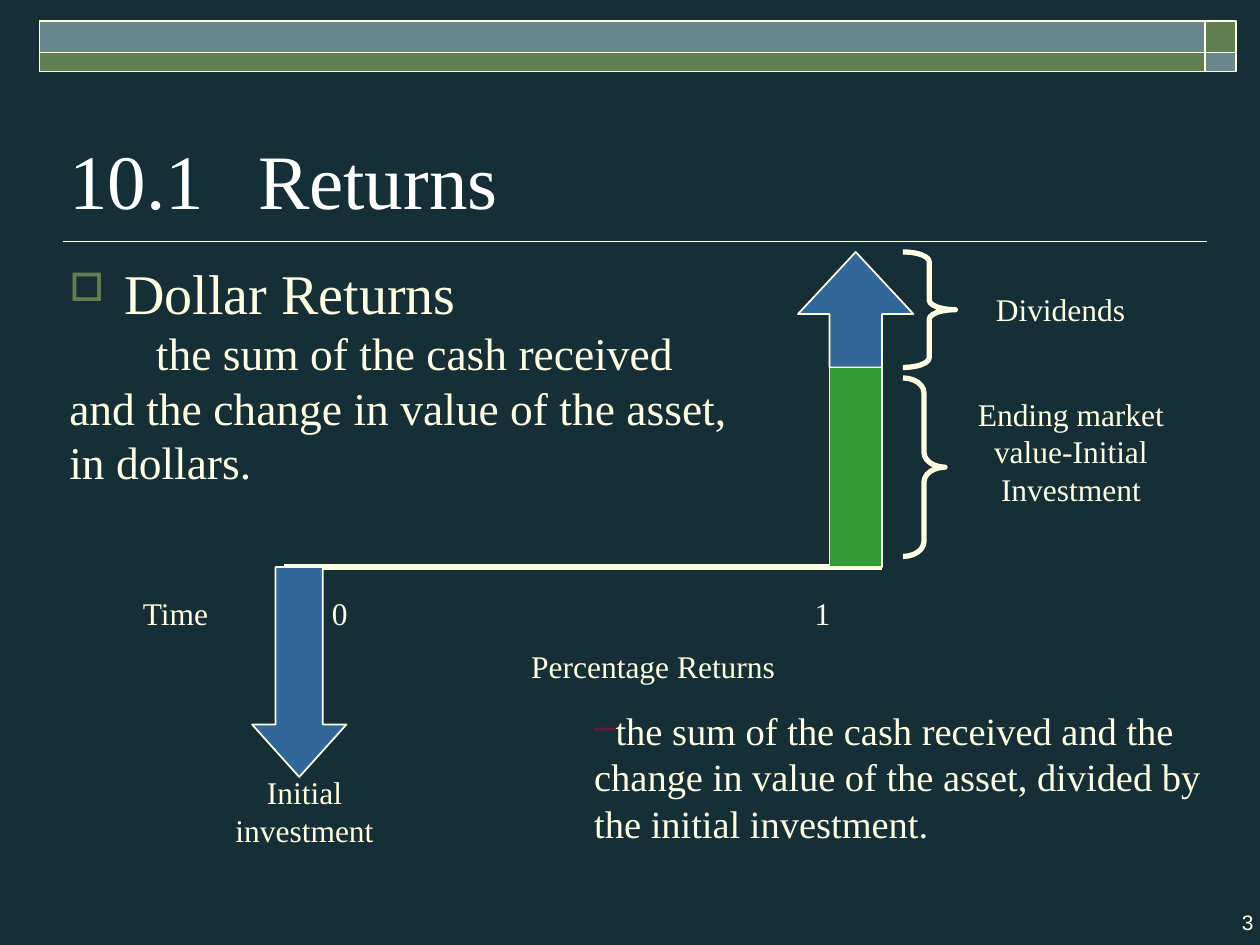
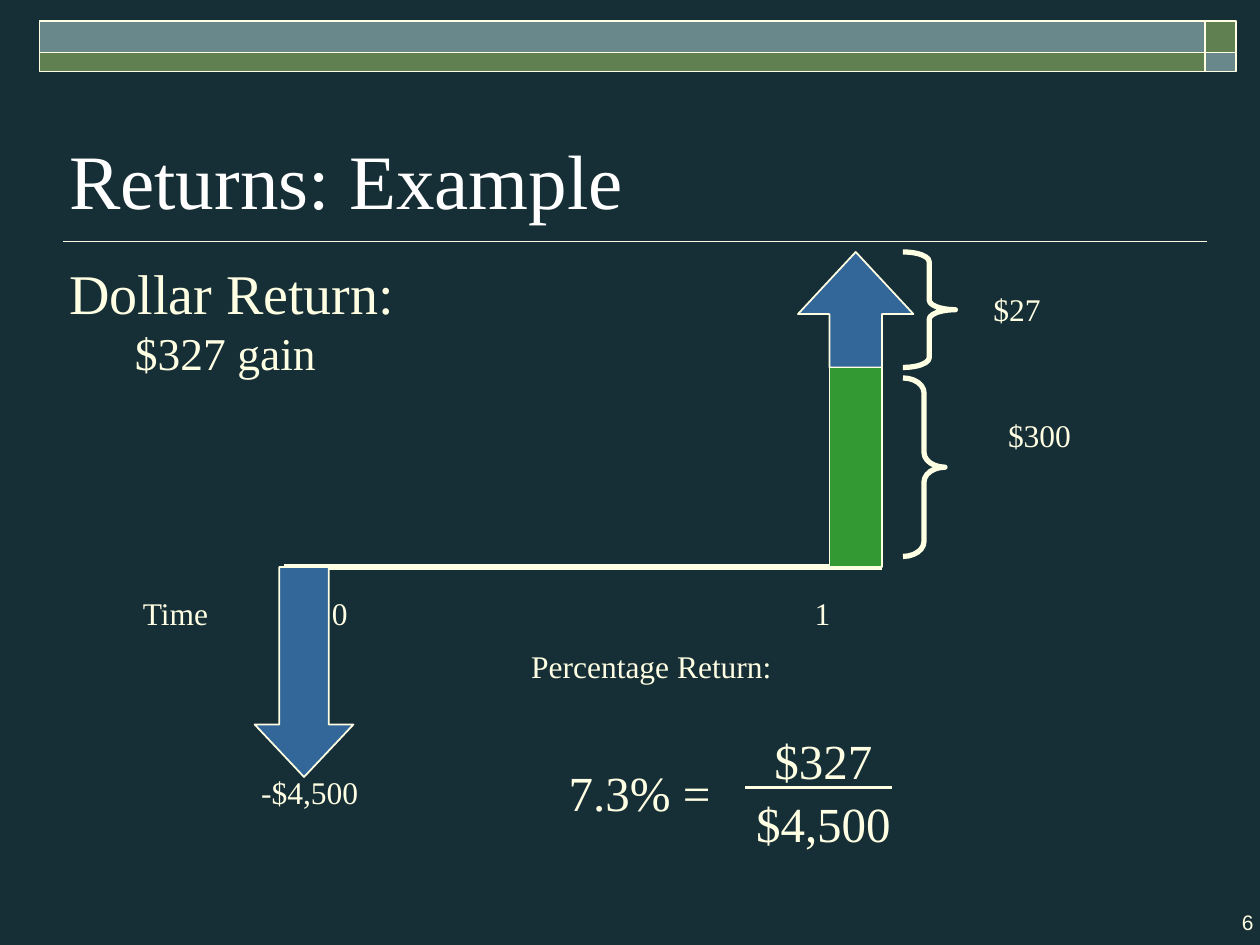
from lxml.etree import SubElement
from pptx import Presentation
from pptx.dml.color import RGBColor
from pptx.enum.shapes import MSO_CONNECTOR, MSO_SHAPE
from pptx.enum.text import MSO_ANCHOR, PP_ALIGN
from pptx.oxml.ns import qn
from pptx.util import Pt

NIGHT = RGBColor(0x16, 0x2E, 0x36)
CREAM = RGBColor(0xFF, 0xFF, 0xE3)
WHITE = RGBColor(0xFF, 0xFF, 0xFF)
OLIVE = RGBColor(0x61, 0x80, 0x52)
TEAL = RGBColor(0x69, 0x88, 0x8B)
BLUE = RGBColor(0x33, 0x66, 0x99)
GREEN = RGBColor(0x33, 0x99, 0x33)
WINE = RGBColor(0x67, 0x17, 0x39)
SERIF = "Times New Roman"
CENTER = PP_ALIGN.CENTER


def write(p, text, size=18, color=CREAM, font=SERIF, align=PP_ALIGN.LEFT,
          margin=0, indent=0, before=0, bullet=None, bullet_color=OLIVE,
          bullet_size=100):
    p.alignment = align
    p.space_before = Pt(before)
    pPr = p._p.get_or_add_pPr()
    pPr.set("marL", str(Pt(margin)))
    pPr.set("indent", str(Pt(indent)))
    if bullet:
        clr = SubElement(pPr, qn("a:buClr"))
        SubElement(clr, qn("a:srgbClr")).set("val", str(bullet_color))
        SubElement(pPr, qn("a:buSzPct")).set("val", str(bullet_size * 1000))
        SubElement(pPr, qn("a:buChar")).set("char", bullet)
    r = p.add_run()
    r.text = text
    r.font.size = Pt(size)
    r.font.name = font
    r.font.color.rgb = color


def add_text(s, box, text, anchor=MSO_ANCHOR.TOP, wrap=True, **fmt):
    tf = s.shapes.add_textbox(*map(Pt, box)).text_frame
    tf.margin_left = tf.margin_right = Pt(3.6)
    tf.margin_top = tf.margin_bottom = Pt(3.6)
    tf.word_wrap = wrap
    tf.vertical_anchor = anchor
    write(tf.paragraphs[0], text, **fmt)
    return tf


def add_shape(s, kind, box, fill=None, weight=1, adjustments=()):
    sp = s.shapes.add_shape(kind, *map(Pt, box))
    sp.shadow.inherit = False
    if fill is None:
        sp.fill.background()
    else:
        sp.fill.solid()
        sp.fill.fore_color.rgb = fill
    sp.line.color.rgb = CREAM
    sp.line.width = Pt(weight)
    for i, value in enumerate(adjustments):
        sp.adjustments[i] = value
    return sp


def add_rule(s, x1, x2, y, weight):
    line = s.shapes.add_connector(MSO_CONNECTOR.STRAIGHT, Pt(x1), Pt(y), Pt(x2), Pt(y))
    line.line.color.rgb = CREAM
    line.line.width = Pt(weight)
    SubElement(line._element.spPr, qn("a:effectLst"))


def add_band(s, left, top, width, height):
    corner, upper = 18, 18
    split = left + width - corner
    for x, w, colors in ((left, width - corner, (TEAL, OLIVE)),
                         (split, corner, (OLIVE, TEAL))):
        for y, h, color in ((top, upper, colors[0]),
                            (top + upper, height - upper, colors[1])):
            add_shape(s, MSO_SHAPE.RECTANGLE, (x, y, w, h), color)


def add_frame(prs, title, number):
    s = prs.slides.add_slide(prs.slide_layouts[6])
    add_rule(s, 36, 690, 138, 1)
    add_band(s, 22.5, 12, 684, 29)
    add_text(s, (705.6, 516, 14.4, 21.6), number, wrap=False,
             size=12, font="Arial", align=PP_ALIGN.RIGHT)
    add_text(s, (36, 42, 648, 90), title, anchor=MSO_ANCHOR.BOTTOM,
             size=44, color=WHITE)
    return s


def add_body(s, left, top, heading, detail, heading_format, detail_format):
    tf = add_text(s, (left, top, 389, 152), heading, size=32, **heading_format)
    write(tf.add_paragraph(), detail, size=26, **detail_format)


def add_brace(s, left, top, width, height):
    add_shape(s, MSO_SHAPE.RIGHT_BRACE, (left, top, width, height),
              weight=3, adjustments=(height / width / 12, 0.5))


def add_cash_flows(s, left, top, outflow_x, outflow_width):
    axis = top + 180
    add_rule(s, left + 84, left + 426, axis, 3)
    for x, width, label in ((0, 66, "Time"), (108, 30, "0"), (384, 30, "1")):
        add_text(s, (left + x, axis + 12, width, 27), label)
    bar, side, outflow_height = 30, 66, 120
    add_shape(s, MSO_SHAPE.UP_ARROW, (left + 378, top, side, side), BLUE,
              adjustments=(bar / side, 35.5 / side))
    add_shape(s, MSO_SHAPE.RECTANGLE,
              (left + 396, top + side, bar, 180 - side), GREEN)
    add_shape(s, MSO_SHAPE.DOWN_ARROW,
              (left + outflow_x, axis, outflow_width, outflow_height), BLUE,
              adjustments=(0.5, 30 / outflow_width))
    add_brace(s, left + 438, top, 30, side)
    add_brace(s, left + 438, top + 72, 24, 102)


def add_fraction(s, left, top, result, numerator, denominator):
    add_text(s, (left, top + 18, 114, 38), result, size=28, align=CENTER)
    for y, value in ((0, numerator), (36, denominator)):
        add_text(s, (left + 110.5, top + y, 96, 38), value, size=28, align=CENTER)
    add_rule(s, left + 114, left + 198, top + 36, 1.5)


def build_returns(prs):
    s = add_frame(prs, "10.1\tReturns", "3")
    add_body(s, 36, 144, "Dollar Returns",
             "the sum of the cash received and the change in value of the asset, in dollars.",
             dict(margin=31.5, indent=-31.5, bullet="□", bullet_size=70),
             dict(indent=49.5))
    add_cash_flows(s, 78, 144, 66, 54)
    add_text(s, (108, 438, 132, 48), "Initial investment", align=CENTER)
    add_text(s, (534, 222, 156, 69), "Ending market value-Initial Investment", align=CENTER)
    add_text(s, (528, 162, 156, 27), "Dividends", align=CENTER)
    tf = add_text(s, (300, 366, 396, 119), "Percentage Returns")
    write(tf.add_paragraph(),
          "the sum of the cash received and the change in value of the asset, "
          "divided by the initial investment.",
          size=22, margin=36, before=13, bullet="–", bullet_color=WINE)


def build_example(prs):
    s = add_frame(prs, "Returns: Example", "6")
    add_body(s, 36, 144, "Dollar Return:", "$327 gain",
             dict(margin=36.5, indent=-36.5), dict(margin=34.5, indent=3))
    add_cash_flows(s, 78, 144, 67.5, 56.5)
    add_text(s, (108, 438, 138, 27), "-$4,500", align=CENTER)
    add_text(s, (516, 234, 156, 27), "$300", align=CENTER)
    add_text(s, (528, 162, 156, 27), "$27", margin=36)
    add_text(s, (300, 366, 396, 27), "Percentage Return:")
    add_fraction(s, 312, 414, "7.3% = ", "$327", "$4,500")


def main():
    prs = Presentation()
    prs.slide_width, prs.slide_height = Pt(720), Pt(540)
    background = prs.slide_master.background.fill
    background.solid()
    background.fore_color.rgb = NIGHT
    build_returns(prs)
    build_example(prs)
    prs.save("out.pptx")


if __name__ == "__main__":
    main()
